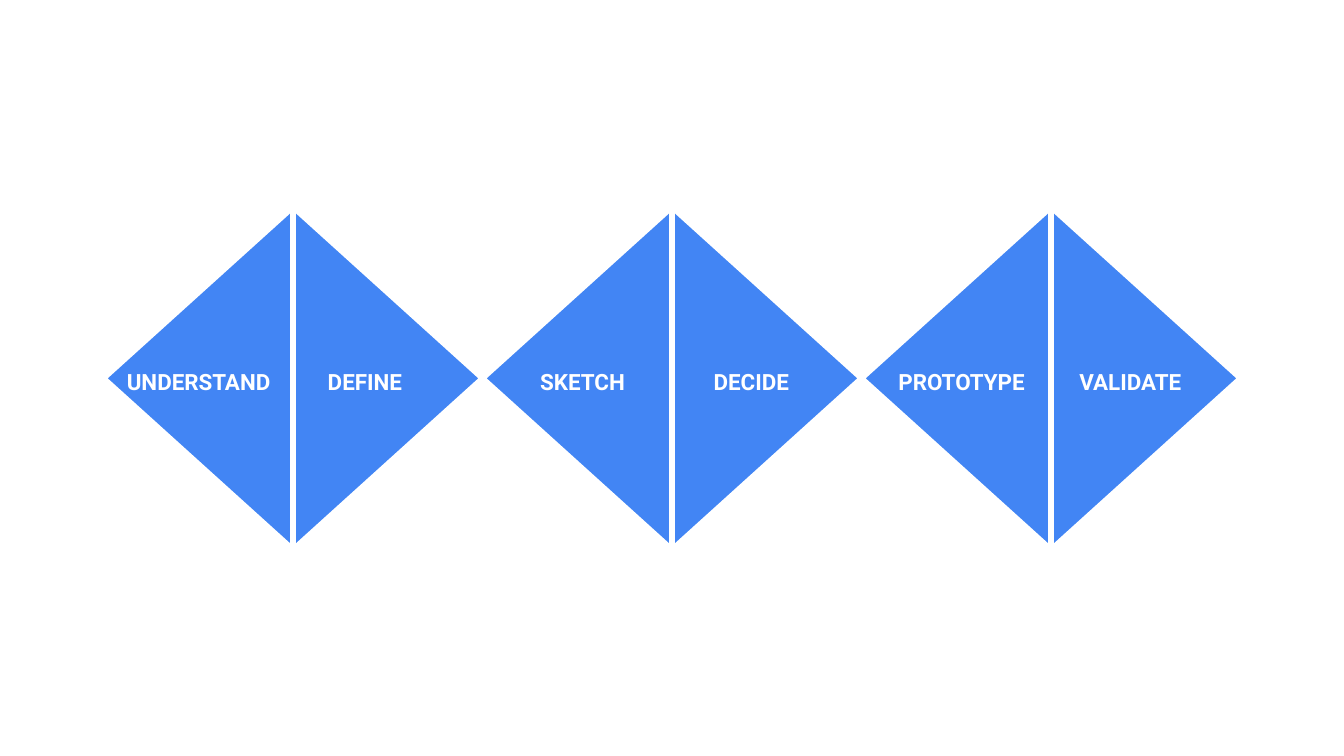
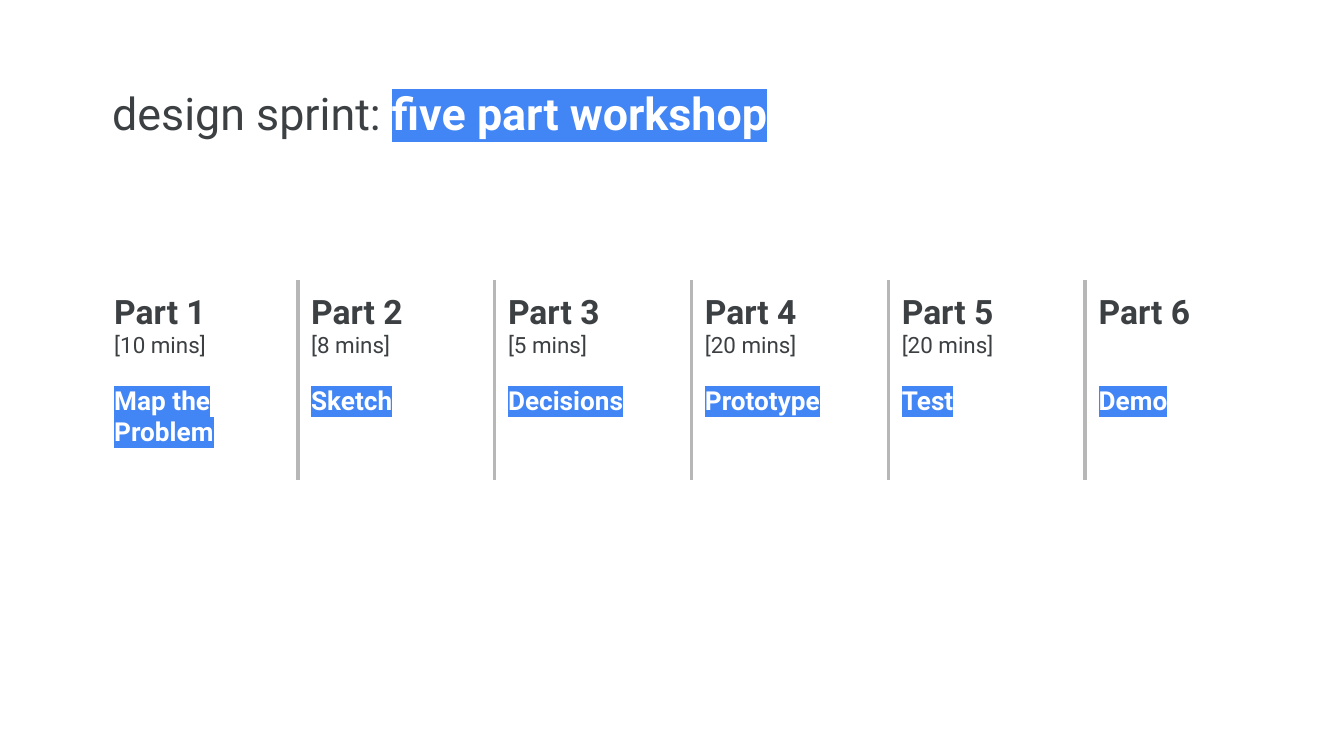
from lxml import etree
from pptx import Presentation, util as u
from pptx.dml import color
from pptx.enum import shapes, text
from pptx.oxml import ns

PX = 4572
BLUE, WHITE, DARK, GRAY = "4285F4", "FFFFFF", "3C4043", "B7B7B7"
LEFT, MID = text.PP_ALIGN.LEFT, text.PP_ALIGN.CENTER


def px(*nums):
    return [u.Emu(n * PX) for n in nums]


def rgb(code):
    return color.RGBColor.from_string(code)


class Deck:
    font = "Roboto"

    def __init__(self, wide, high):
        self.prs = Presentation()
        self.prs.slide_width, self.prs.slide_height = px(wide, high)

    def page(self, layout):
        self.slide = self.prs.slides.add_slide(self.prs.slide_layouts[layout])

    def style(self, run, size, ink=DARK, bold=False, mark=None):
        font = run.font
        font.name, font.size, font.bold = self.font, u.Pt(size), bold
        font.color.rgb = rgb(ink)
        if mark:
            glow = etree.Element(ns.qn("a:highlight"))
            etree.SubElement(glow, ns.qn("a:srgbClr"), val=mark)
            font._element.find(ns.qn("a:solidFill")).addnext(glow)

    def frame(self, body, *pads):
        body.word_wrap = True
        body.auto_size = text.MSO_AUTO_SIZE.NONE
        body.vertical_anchor = text.MSO_ANCHOR.TOP
        (body.margin_left, body.margin_top,
         body.margin_right, body.margin_bottom) = px(*pads)

    def title(self, plain, strong):
        head = self.slide.shapes.title
        head.left, head.top, head.width, head.height = px(167, 128, 1278, 78)
        self.frame(head.text_frame, 0, 0, 50, 0)
        para = head.text_frame.paragraphs[0]
        para.text, para.alignment = plain, LEFT
        self.style(para.runs[0], 24)
        run = para.add_run()
        run.text = strong
        self.style(run, 24, WHITE, True, BLUE)

    def kite(self, *box):
        kite = self.slide.shapes.add_shape(
            shapes.MSO_SHAPE.FLOWCHART_SORT, *px(*box))
        kite.rotation = 90
        kite.shadow.inherit = False
        kite.fill.solid()
        kite.fill.fore_color.rgb = rgb(BLUE)
        kite.line.color.rgb = rgb(WHITE)
        kite.line.width = u.Pt(3)

    def label(self, words, left, wide, align):
        box = self.slide.shapes.add_textbox(*px(left, 528, wide, 106))
        self.frame(box.text_frame, 20, 20, 20, 20)
        para = box.text_frame.paragraphs[0]
        para.text, para.alignment = words, align
        self.style(para.runs[0], 12, WHITE, True)

    def border(self, cell, sides):
        props = cell._tc.get_or_add_tcPr()
        for spot, side in enumerate("LRTB"):
            line = etree.Element(ns.qn("a:ln" + side))
            if side in sides:
                line.set("w", str(u.Pt(2.25)))
                fill = etree.SubElement(line, ns.qn("a:solidFill"))
                etree.SubElement(fill, ns.qn("a:srgbClr"), val=GRAY)
            else:
                etree.SubElement(line, ns.qn("a:noFill"))
            props.insert(spot, line)

    def cell(self, cell, words, looks, sides):
        cell.fill.background()
        (cell.margin_left, cell.margin_top,
         cell.margin_right, cell.margin_bottom) = px(20, 20, 20, 20)
        cell.text_frame.text = words
        for para, look in zip(cell.text_frame.paragraphs, looks):
            self.style(para.runs[0], *look)
        self.border(cell, sides)

    def table(self, parts, left, top, wide, highs):
        last = len(parts) - 1
        grid = self.slide.shapes.add_table(
            len(highs), len(parts),
            *px(left, top, wide * len(parts), sum(highs))).table
        grid.first_row = grid.horz_banding = False
        for row, high in zip(grid.rows, highs):
            row.height = px(high)[0]
        looks = ([(18, DARK, True), (12,)], [(14, WHITE, True, BLUE)])
        for col, part in enumerate(parts):
            grid.columns[col].width = px(wide)[0]
            sides = ("L" if col else "") + ("R" if col < last else "")
            for row, words in enumerate(part):
                self.cell(grid.cell(row, col), words, looks[row], sides)


def main():
    deck = Deck(2000, 1125)

    deck.page(6)
    for step in range(3):
        deck.kite(181 + 564 * step, 281, 510, 564)
    for label in (("UNDERSTAND", 169, 284, LEFT), ("DEFINE", 468, 236, LEFT),
                  ("SKETCH", 749, 236, MID), ("DECIDE", 1000, 236, MID),
                  ("PROTOTYPE", 1313, 236, MID),
                  ("VALIDATE", 1564, 236, MID)):
        deck.label(*label)

    deck.page(5)
    deck.title("design sprint: ", "five part workshop")
    plan = (("[10 mins]", "Map the Problem"), ("[8 mins]", "Sketch"),
            ("[5 mins]", "Decisions"), ("[20 mins]", "Prototype"),
            ("[20 mins]", "Test"), ("", "Demo"))
    parts = [(f"Part {num}\n{time}".strip(), task)
             for num, (time, task) in enumerate(plan, 1)]
    deck.table(parts, 150, 417, 293, (96, 160))

    deck.prs.save("out.pptx")


if __name__ == "__main__":
    main()
